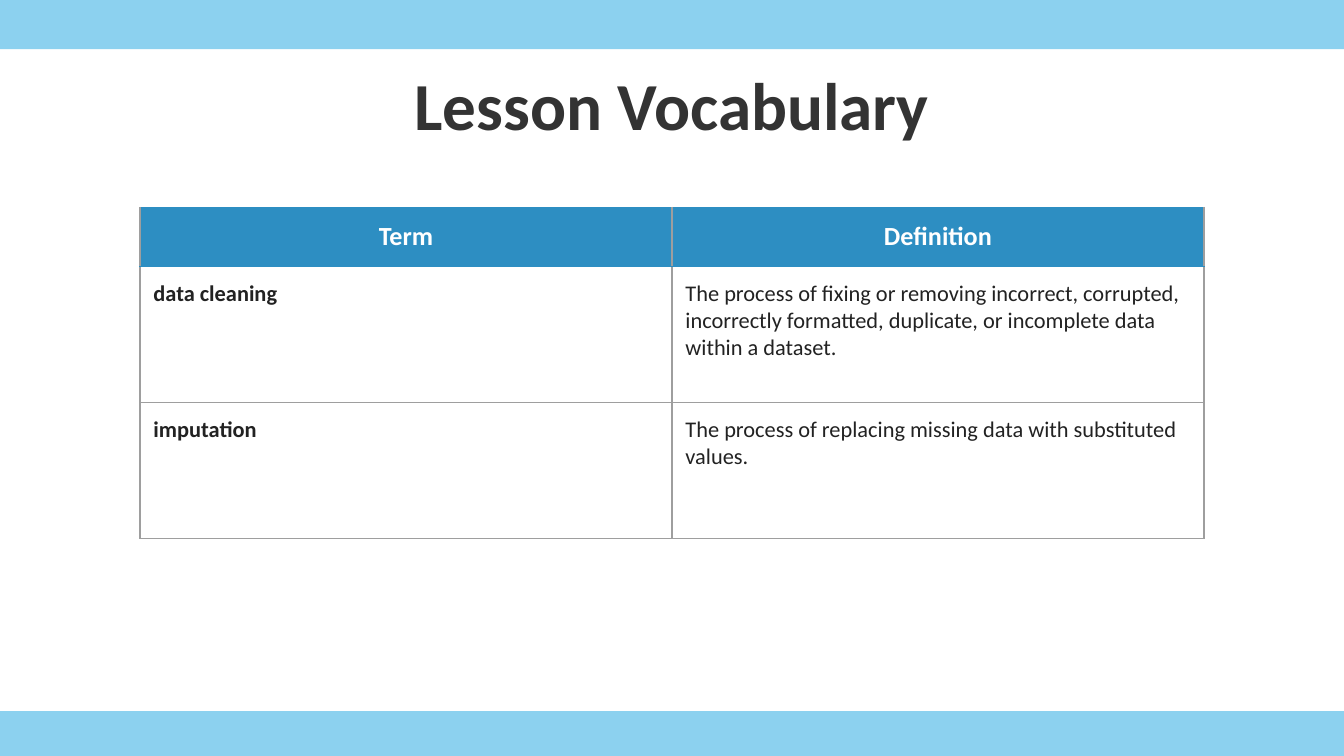
from dataclasses import dataclass

from lxml import etree
from pptx import Presentation
from pptx.dml.color import RGBColor
from pptx.enum import shapes, text
from pptx.oxml import ns
from pptx.util import Pt

FONT = "Calibri"
HEADER_BLUE = "2D8EC2"
GRID_GREY = "9E9E9E"
BAND_BLUE = "27A9E1"
SLIDE_WIDTH, SLIDE_HEIGHT = 720, 405
INSET = 7.2


@dataclass
class Band:
    top: float
    height: float


@dataclass
class Style:
    size: float
    color: str
    bold: bool
    align: text.PP_ALIGN


@dataclass
class Entry:
    term: str
    definition: str


TITLE = Style(36, "333333", True, text.PP_ALIGN.CENTER)
HEADER = Style(14, "FFFFFF", True, text.PP_ALIGN.CENTER)
TERM = Style(12, "222222", True, text.PP_ALIGN.LEFT)
DEFINITION = Style(12, "222222", False, text.PP_ALIGN.LEFT)

BANDS = [Band(0, 26.4), Band(381, 26.4)]
ENTRIES = [
    Entry("Term", "Definition"),
    Entry(
        "data cleaning",
        "The process of fixing or removing incorrect, corrupted, incorrectly "
        "formatted, duplicate, or incomplete data within a dataset.",
    ),
    Entry("imputation", "The process of replacing missing data with substituted values."),
]


def paint(target, color: str) -> None:
    target.solid()
    target.fore_color.rgb = RGBColor.from_string(color)


def write(frame, content: str, style: Style) -> None:
    paragraph = frame.paragraphs[0]
    paragraph.alignment = style.align
    run = paragraph.add_run()
    run.text = content
    run.font.name = FONT
    run.font.size = Pt(style.size)
    run.font.bold = style.bold
    paint(run.font.fill, style.color)


def set_insets(target) -> None:
    for side in ("left", "right", "top", "bottom"):
        setattr(target, f"margin_{side}", Pt(INSET))


def draw_band(slide, band: Band) -> None:
    shape = slide.shapes.add_shape(
        shapes.MSO_SHAPE.RECTANGLE, 0, Pt(band.top), Pt(SLIDE_WIDTH), Pt(band.height)
    )
    shape.shadow.inherit = False
    shape.line.fill.background()
    paint(shape.fill, BAND_BLUE)
    color = shape.fill._xPr.find(".//" + ns.qn("a:srgbClr"))
    etree.SubElement(color, ns.qn("a:alpha"), val="53000")


def draw_title(slide, content: str) -> None:
    title = slide.shapes.title
    title.left, title.top, title.width, title.height = Pt(36), Pt(16.7), Pt(648), Pt(67.5)
    frame = title.text_frame
    frame.word_wrap = True
    frame.auto_size = text.MSO_AUTO_SIZE.NONE
    frame.vertical_anchor = text.MSO_ANCHOR.BOTTOM
    set_insets(frame)
    write(frame, content, TITLE)


def add_border(cell, side: str, color: str) -> None:
    properties = cell._tc.get_or_add_tcPr()
    line = etree.SubElement(properties, ns.qn(f"a:ln{side}"), w=str(Pt(0.75)))
    fill = etree.SubElement(line, ns.qn("a:solidFill"))
    etree.SubElement(fill, ns.qn("a:srgbClr"), val=color)


def draw_cell(cell, row: int, content: str, style: Style) -> None:
    set_insets(cell)
    cell.vertical_anchor = text.MSO_ANCHOR.TOP
    add_border(cell, "L", GRID_GREY)
    add_border(cell, "R", GRID_GREY)
    add_border(cell, "T", HEADER_BLUE if row < 2 else GRID_GREY)
    add_border(cell, "B", HEADER_BLUE if row == 0 else GRID_GREY)
    if row == 0:
        paint(cell.fill, HEADER_BLUE)
    else:
        cell.fill.background()
    write(cell.text_frame, content, style)


def draw_vocabulary(slide, entries: list[Entry]) -> None:
    heights = [30.9] + [72.9] * (len(entries) - 1)
    table = slide.shapes.add_table(
        len(entries), 2, Pt(75), Pt(111.2), Pt(570), Pt(sum(heights))
    ).table
    table.horz_banding = False
    for column in table.columns:
        column.width = Pt(285)
    for row, (entry, height) in enumerate(zip(entries, heights)):
        table.rows[row].height = Pt(height)
        styles = (HEADER, HEADER) if row == 0 else (TERM, DEFINITION)
        for column, content in enumerate((entry.term, entry.definition)):
            draw_cell(table.cell(row, column), row, content, styles[column])


def main() -> None:
    presentation = Presentation()
    presentation.slide_width = Pt(SLIDE_WIDTH)
    presentation.slide_height = Pt(SLIDE_HEIGHT)
    slide = presentation.slides.add_slide(presentation.slide_layouts[5])
    paint(slide.background.fill, "FFFFFF")
    for band in BANDS:
        draw_band(slide, band)
    draw_title(slide, "Lesson Vocabulary")
    draw_vocabulary(slide, ENTRIES)
    presentation.save("out.pptx")


if __name__ == "__main__":
    main()
